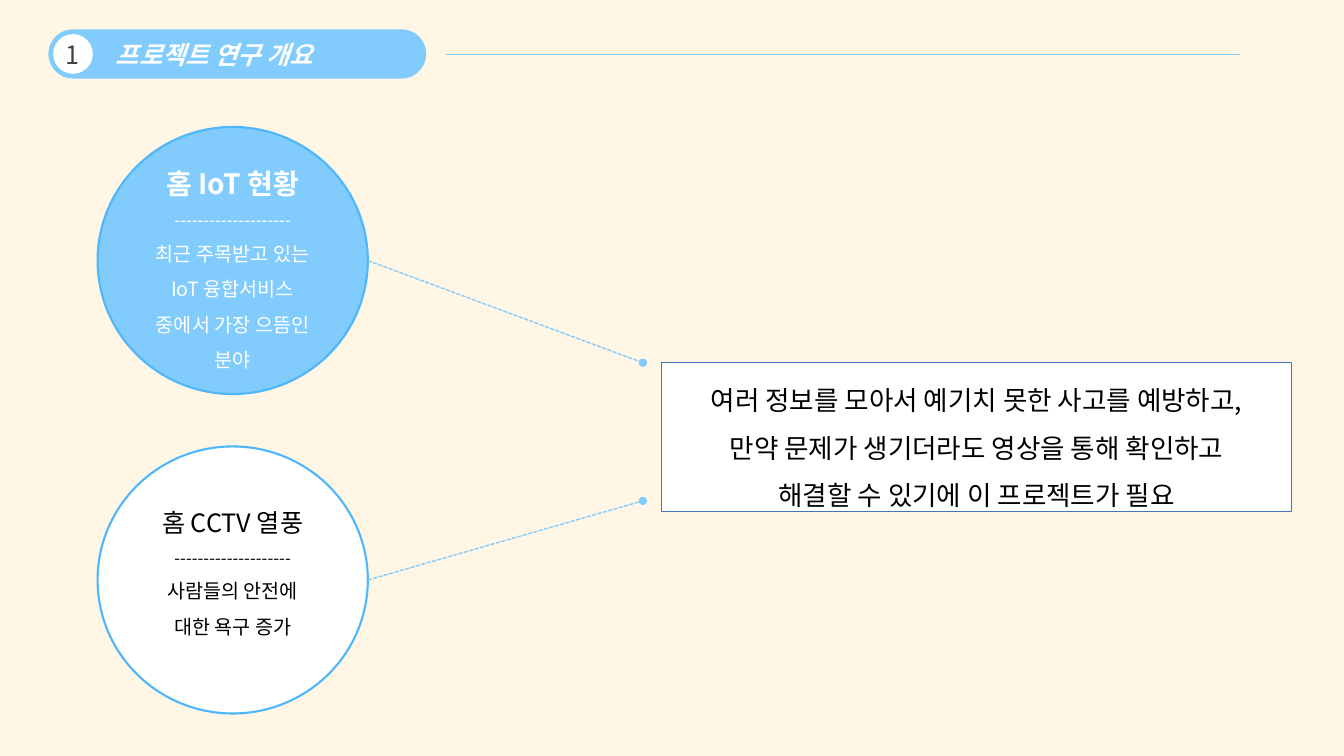
import dataclasses

import pptx
import pptx.dml.color
import pptx.enum.dml
import pptx.enum.shapes
import pptx.enum.text
import pptx.oxml
import pptx.oxml.ns
import pptx.util

Cm = pptx.util.Cm
Pt = pptx.util.Pt
SHAPE = pptx.enum.shapes.MSO_SHAPE
ANCHOR = pptx.enum.text.MSO_ANCHOR
ALIGN = pptx.enum.text.PP_ALIGN


@dataclasses.dataclass(frozen=True)
class Theme:
    """Colours, font and type sizes of the slide."""
    font: str = "Noto Sans CJK KR"
    cream: str = "FFF6E5"
    sky: str = "82CCFD"
    ring: str = "4EB6FC"
    frame: str = "4472C4"
    white: str = "FFFFFF"
    black: str = "000000"
    grey: str = "404040"
    heading: int = 18
    lead: int = 20
    statement: int = 19
    body: int = 14
    divider: int = 12


T = Theme()


def rgb(value):
    """Return an RGB colour for a hex string."""
    return pptx.dml.color.RGBColor.from_string(value)


def add_shape(s, kind, box, fill, line=None, width=0):
    """Add a flat shape with an optional outline."""
    sp = s.shapes.add_shape(kind, *map(Cm, box))
    sp.shadow.inherit = False
    sp.fill.solid()
    sp.fill.fore_color.rgb = rgb(fill)
    if line:
        sp.line.color.rgb = rgb(line)
        sp.line.width = Pt(width)
    else:
        sp.line.fill.background()
    return sp


def add_line(s, start, end, width, dotted=False):
    """Add a sky-blue line, dashed with a round tip if dotted."""
    c = s.shapes.add_connector(pptx.enum.shapes.MSO_CONNECTOR.STRAIGHT,
                               *map(Cm, start + end))
    c.line.color.rgb = rgb(T.sky)
    c.line.width = Pt(width)
    pr = c.element.spPr
    if dotted:
        c.line.dash_style = pptx.enum.dml.MSO_LINE.SQUARE_DOT
        ln = pr.find(pptx.oxml.ns.qn("a:ln"))
        ln.append(pptx.oxml.parse_xml(
            f'<a:tailEnd {pptx.oxml.ns.nsdecls("a")} type="oval"/>'))
    pr.append(pptx.oxml.parse_xml(
        f'<a:effectLst {pptx.oxml.ns.nsdecls("a")}/>'))


def write(sp, lines, color, align=ALIGN.CENTER, spacing=1.0,
          anchor=ANCHOR.MIDDLE, italic=False):
    """Fill a shape with paragraphs given as (text, size, bold)."""
    tf = sp.text_frame
    tf.word_wrap = True
    tf.auto_size = pptx.enum.text.MSO_AUTO_SIZE.NONE
    tf.vertical_anchor = anchor
    for i, (text, size, bold) in enumerate(lines):
        p = tf.paragraphs[0] if i == 0 else tf.add_paragraph()
        p.text = text
        p.alignment = align
        p.line_spacing = spacing
        p.font.name = T.font
        p.font.size = Pt(size)
        p.font.bold = bold
        p.font.italic = italic
        p.font.color.rgb = rgb(color)
    for latin in list(sp.element.iter(pptx.oxml.ns.qn("a:latin"))):
        latin.addnext(pptx.oxml.parse_xml(
            f'<a:ea {pptx.oxml.ns.nsdecls("a")} typeface="{T.font}"/>'))


def clear_margins(sp):
    """Remove the text insets of a shape."""
    tf = sp.text_frame
    tf.margin_left = tf.margin_right = tf.margin_top = tf.margin_bottom = 0


def header(s, box, number, text, rule_end):
    """Place the title pill, its number badge and the rule beside it."""
    x, y, w, h = box
    pill = add_shape(s, SHAPE.ROUNDED_RECTANGLE, box, T.sky)
    pill.adjustments[0] = 0.5
    title = s.shapes.title
    indent = 1.7
    title.left, title.top, title.width, title.height = map(
        Cm, (x + indent, y, w - indent, h))
    clear_margins(title)
    write(title, [(text, T.heading, True)], T.white, ALIGN.LEFT, italic=True)
    pill.element.addnext(title.element)
    gap = 0.12
    side = h - 2 * gap
    badge = add_shape(s, SHAPE.OVAL, (x + gap, y + gap, side, side), T.white)
    clear_margins(badge)
    write(badge, [(number, T.heading, False)], T.grey)
    middle = y + h / 2
    add_line(s, (x + w + 0.5, middle), (rule_end, middle), 0.5)


def topic(s, box, fill, color, heading, text, target, bottom=0.13):
    """Place a topic circle and the dotted line from it to its target."""
    x, y, w, h = box
    circle = add_shape(s, SHAPE.OVAL, box, fill, T.ring, 1.5)
    circle.text_frame.margin_bottom = Cm(bottom)
    lines = [heading, ("-" * 20, T.divider, False), (text, T.body, False)]
    write(circle, lines, color, spacing=1.5)
    add_line(s, (x + w, y + h / 2), target, 1, dotted=True)


def conclusion(s, box, lines):
    """Place the framed conclusion."""
    sp = add_shape(s, SHAPE.RECTANGLE, box, T.white, T.frame, 0.75)
    write(sp, [(text, T.statement, False) for text in lines], T.black,
          spacing=1.5, anchor=ANCHOR.TOP)


def overview(prs):
    """Build the project overview slide."""
    s = prs.slides.add_slide(prs.slide_layouts[5])
    s.background.fill.solid()
    s.background.fill.fore_color.rgb = rgb(T.cream)
    header(s, (1.22, 0.74, 9.52, 1.24), "1", "프로젝트 연구 개요", 31.24)
    x, w, h = 2.46, 6.81, 6.73
    tip = 16.2
    topic(s, (x, 3.2, w, h), T.sky, T.white, ("홈 IoT 현황", T.lead, True),
          "최근 주목받고 있는 IoT 융합서비스 중에서 가장 으뜸인 분야",
          (tip, 9.14))
    topic(s, (x, 11.25, w, h), T.white, T.black,
          ("홈 CCTV 열풍", T.heading, False),
          "사람들의 안전에 대한 욕구 증가", (tip, 12.62), bottom=0.88)
    conclusion(s, (16.66, 9.14, 15.9, 3.76), [
        "여러 정보를 모아서 예기치 못한 사고를 예방하고,",
        "만약 문제가 생기더라도 영상을 통해 확인하고",
        "해결할 수 있기에 이 프로젝트가 필요"])


def main():
    """Create and save the presentation."""
    prs = pptx.Presentation()
    prs.slide_width, prs.slide_height = Cm(33.87), Cm(19.05)
    overview(prs)
    prs.save("out.pptx")


if __name__ == "__main__":
    main()
